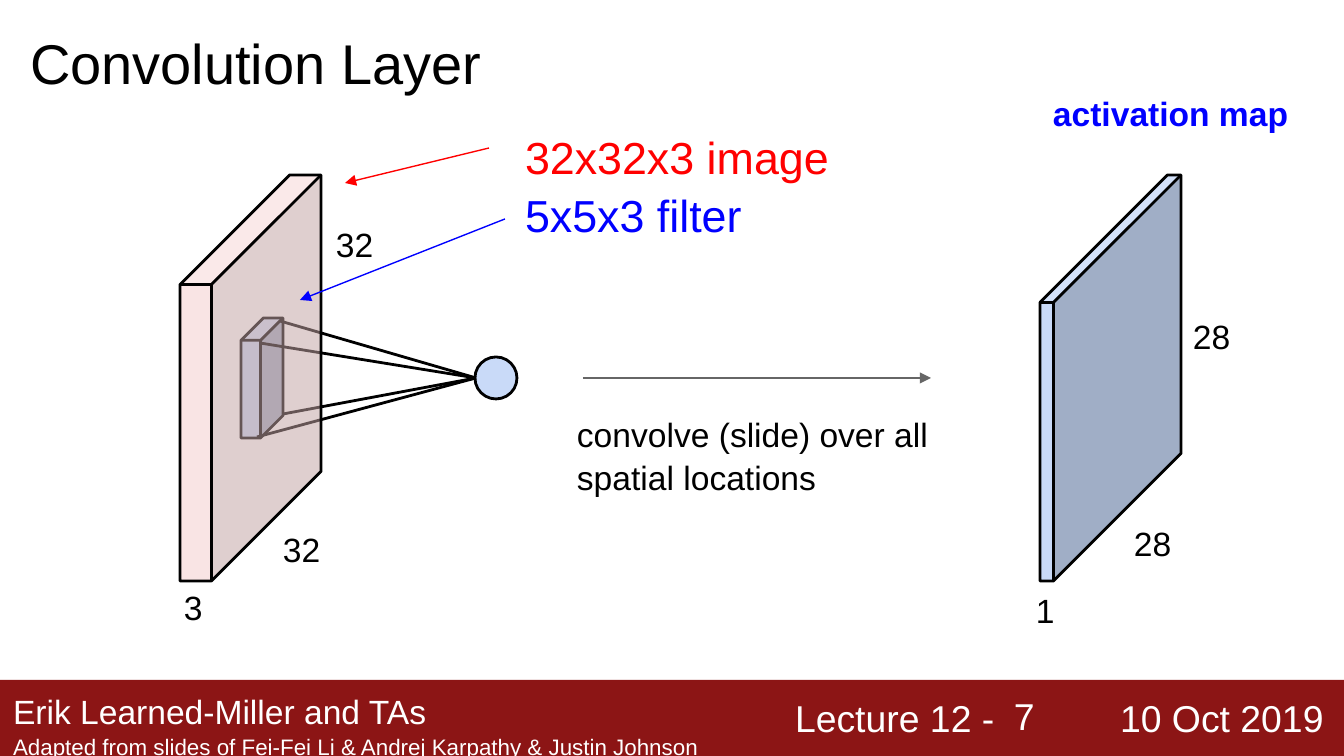
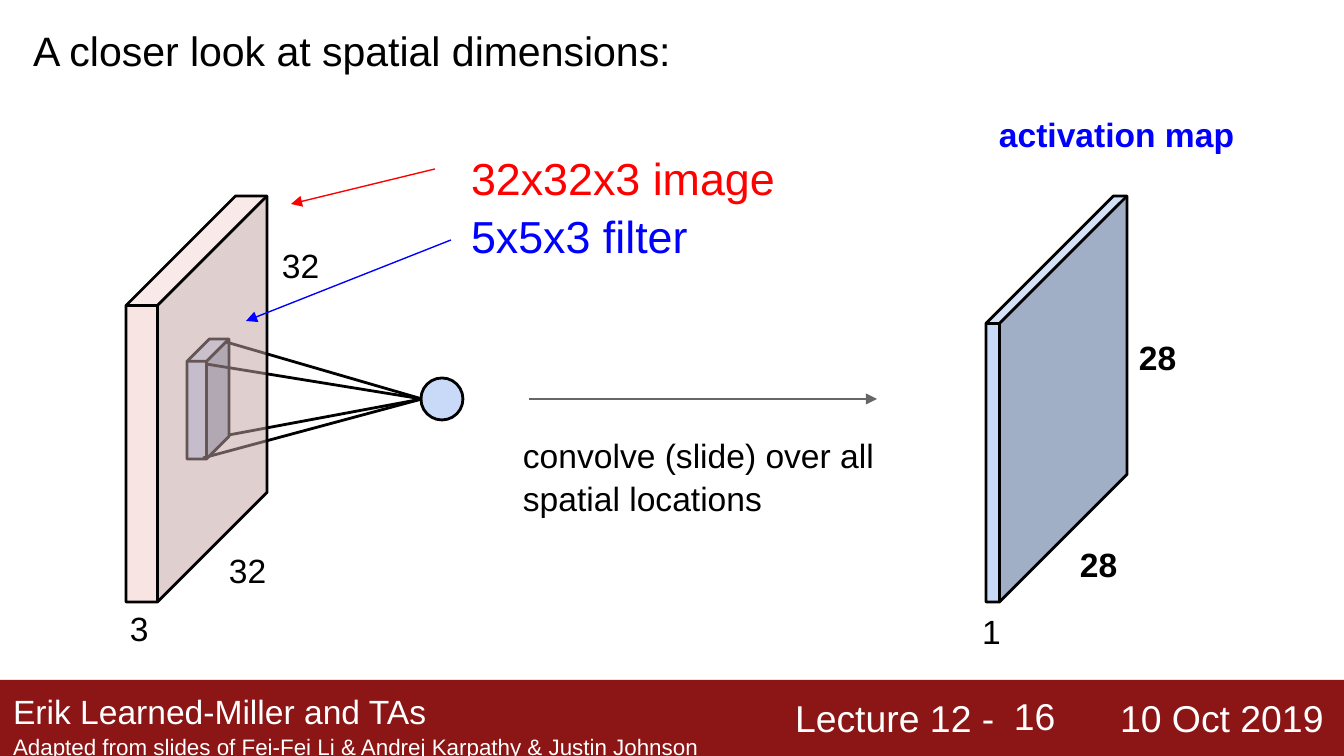
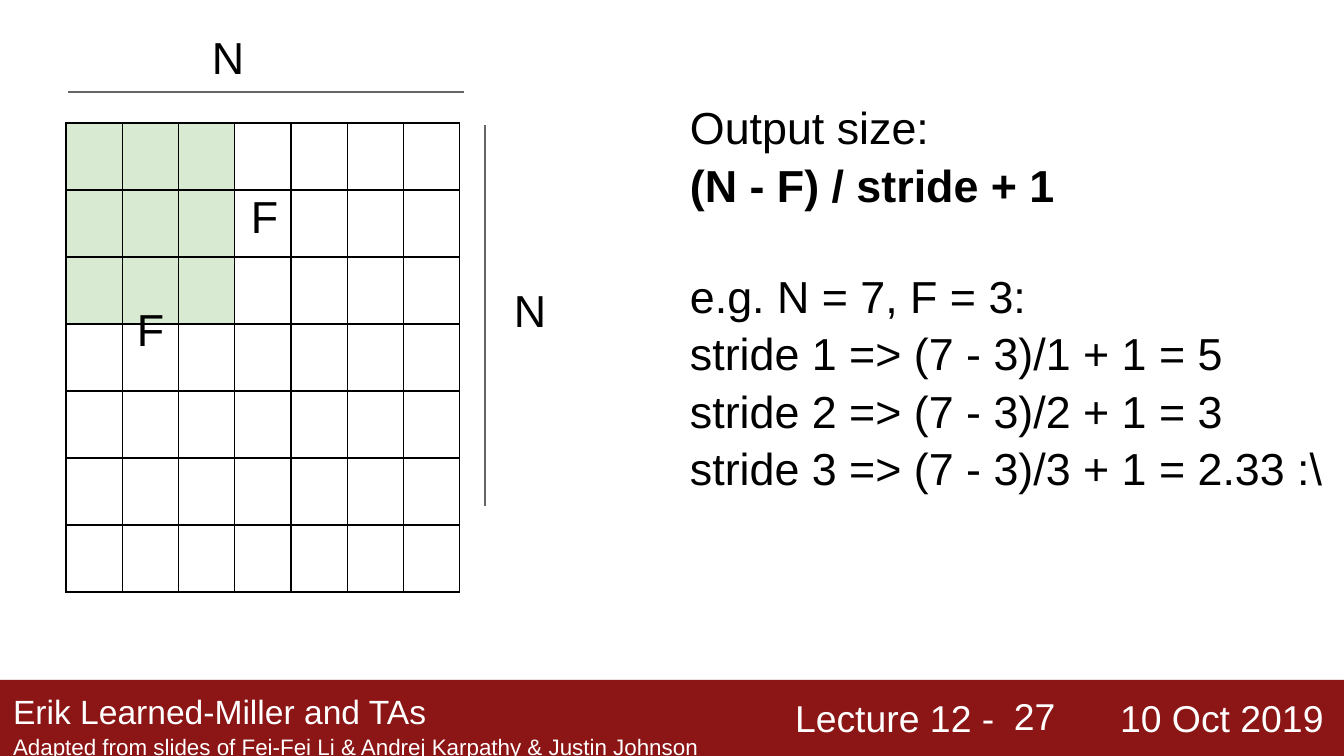
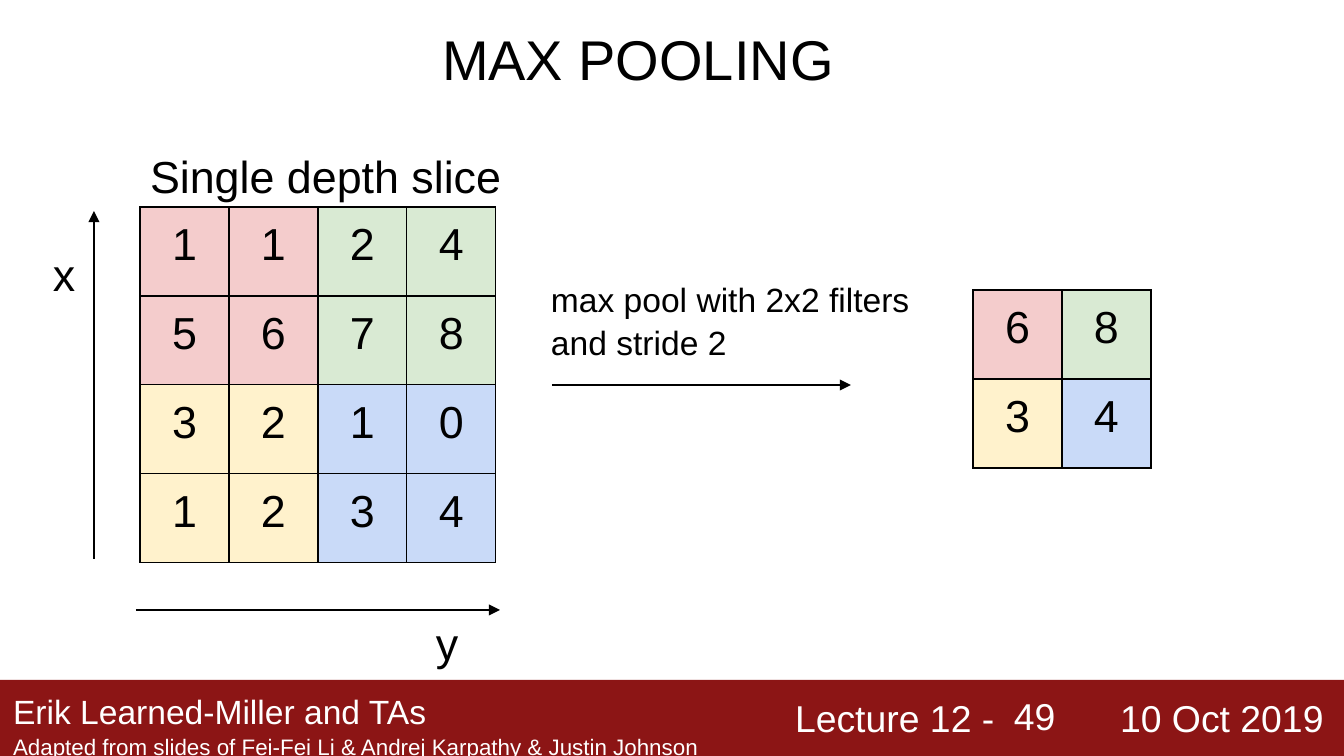
import pptx
import pptx.util
import pptx.dml.color
import pptx.enum.shapes
import pptx.enum.text
import pptx.oxml
import pptx.oxml.ns

RGB = pptx.dml.color.RGBColor
SHAPE = pptx.enum.shapes.MSO_SHAPE
ALIGN = pptx.enum.text.PP_ALIGN
ANCHOR = pptx.enum.text.MSO_ANCHOR
PX = 914400 / 134.4
FONT = "Arial"
INSET = 13
LEADING = 1.07
TITLE_ONLY, BLANK = 5, 6

BLACK = RGB(0x00, 0x00, 0x00)
WHITE = RGB(0xFF, 0xFF, 0xFF)
RED = RGB(0xFF, 0x00, 0x00)
BLUE = RGB(0x00, 0x00, 0xFF)
GRAY = RGB(0x66, 0x66, 0x66)
CARDINAL = RGB(0x8C, 0x15, 0x15)
PINK = RGB(0xF4, 0xCC, 0xCC)
GREEN = RGB(0xD9, 0xEA, 0xD3)
YELLOW = RGB(0xFF, 0xF2, 0xCC)
SKY = RGB(0xC9, 0xDA, 0xF8)

SMALL = {"size": 18, "color": BLACK}
LARGE = {"size": 24, "color": BLACK}
FOOT = {"size": 20, "color": WHITE}

BAND = (0, 680, 1344, 76)
NUMBER_BOX = (1001, 685, 113, 58)
FOOTER = [
    ((782, 679, 515, 79), [("Lecture 12 -", FOOT)]),
    ((1107, 679, 515, 79), [("10 Oct 2019", FOOT)]),
    ((0, 675, 771, 79), [
        ("Erik Learned-Miller and TAs", {**FOOT, "size": 18}),
        ("Adapted from slides of Fei-Fei Li & Andrej Karpathy & Justin Johnson",
         {**FOOT, "size": 12}),
    ]),
]

FILTER_CUBE = ((241, 318, 42, 120), 0.534, SKY, 100)
IMAGE_CUBE = ((180, 175, 141, 406), 0.777, PINK, 52)
MAP_CUBE = ((1040, 175, 141, 406), 0.904, SKY, 100)
NEURON = (475, 357, 42, 42)
RAY_END = (476, 378)
RAY_STARTS = [(257, 437), (260, 343), (280, 321), (283, 414)]
CONV_ARROWS = [
    ((489, 148), (345, 183), RED),
    ((505, 219), (300, 300), BLUE),
    ((583, 378), (931, 378), GRAY),
]
CONV_LABELS = [
    ((270, 513, 73, 46), [("32", SMALL)]),
    ((323, 208, 73, 42), [("32", SMALL)]),
    ((171, 571, 73, 27), [("3", SMALL)]),
    ((512, 113, 535, 81), [("32x32x3 image", {**LARGE, "color": RED}),
                           ("5x5x3 filter", {**LARGE, "color": BLUE})]),
    ((564, 398, 481, 120), [("convolve (slide) over all spatial locations", SMALL)]),
    ((1040, 77, 265, 79), [("activation map", {**SMALL, "color": BLUE, "bold": True})]),
    ((1023, 574, 48, 46), [("1", SMALL)]),
]
MAP_SIZE_BOXES = [(1121, 507, 73, 46), (1180, 300, 73, 46)]

STRIDE_GRID = (66, 123, 394, 451)
STRIDE_CELLS = [[("", GREEN if row < 3 and col < 3 else None) for col in range(7)]
                for row in range(7)]
STRIDE_LINES = [((68, 92), (464, 92)), ((485, 125), (485, 506))]
STRIDE_LABELS = [("N", 199, 13), ("N", 501, 266), ("F", 124, 285), ("F", 238, 172)]
FORMULA_BOX = (677, 83, 667, 355)
FORMULA = [
    ("Output size:", LARGE),
    ("(N - F) / stride + 1", {**LARGE, "bold": True}),
    ("e.g. N = 7, F = 3:", {**LARGE, "before": 28.7}),
    ("stride 1 => (7 - 3)/1 + 1 = 5", LARGE),
    ("stride 2 => (7 - 3)/2 + 1 = 3", LARGE),
    ("stride 3 => (7 - 3)/3 + 1 = 2.33 :\\", LARGE),
]

QUADRANTS = [[PINK, GREEN], [YELLOW, SKY]]
POOL_CELL = 89
POOL_TABLES = [
    ((140, 207), [[1, 1, 2, 4], [5, 6, 7, 8], [3, 2, 1, 0], [1, 2, 3, 4]]),
    ((973, 290), [[6, 8], [3, 4]]),
]
POOL_ARROWS = [((94, 559), (94, 211)), ((136, 610), (500, 610)), ((552, 385), (851, 385))]
POOL_LABELS = [
    ((137, 132, 384, 83), [("Single depth slice", LARGE)]),
    ((40, 230, 58, 69), [("x", LARGE)]),
    ((423, 599, 58, 54), [("y", LARGE)]),
    ((538, 263, 394, 108), [("max pool with 2x2 filters and stride 2", SMALL)]),
]


def emu(*lengths):
    return [round(n * PX) for n in lengths]


def set_all(obj, values):
    for name, value in values.items():
        setattr(obj, name, value)


def sub(parent, tag, **attrs):
    el = pptx.oxml.parse_xml(f"<a:{tag} {pptx.oxml.ns.nsdecls('a')}/>")
    for name, value in attrs.items():
        el.set(name, str(value))
    parent.append(el)
    return el


def style_font(font, fmt):
    set_all(font, {"name": FONT, "size": pptx.util.Pt(fmt["size"]),
                   "bold": fmt.get("bold", False)})
    font.color.rgb = fmt["color"]


def write(tf, lines, anchor=ANCHOR.TOP):
    inset = emu(INSET)[0]
    set_all(tf, {"word_wrap": True, "auto_size": pptx.enum.text.MSO_AUTO_SIZE.NONE,
                 "vertical_anchor": anchor, "margin_left": inset, "margin_right": inset,
                 "margin_top": inset, "margin_bottom": inset})
    for i, (text, fmt) in enumerate(lines):
        p = tf.add_paragraph() if i else tf.paragraphs[0]
        set_all(p, {"alignment": ALIGN.LEFT, "line_spacing": LEADING,
                    "space_before": pptx.util.Pt(fmt.get("before", 0))})
        r = p.add_run()
        r.text = text
        style_font(r.font, fmt)


def add_text(s, box, lines, anchor=ANCHOR.TOP):
    sp = s.shapes.add_textbox(*emu(*box))
    write(sp.text_frame, lines, anchor)
    return sp


def add_solid(s, kind, box, color, line=BLACK, alpha=100):
    sp = s.shapes.add_shape(kind, *emu(*box))
    sp.shadow.inherit = False
    sp.fill.solid()
    sp.fill.fore_color.rgb = color
    if alpha < 100:
        clr = sp.element.spPr.find(".//" + pptx.oxml.ns.qn("a:srgbClr"))
        sub(clr, "alpha", val=alpha * 1000)
    if line is None:
        sp.line.fill.background()
    else:
        sp.line.color.rgb = line
        sp.line.width = pptx.util.Pt(1.5)
    return sp


def add_cube(s, box, depth, color, alpha):
    add_solid(s, SHAPE.CUBE, box, color, alpha=alpha).adjustments[0] = depth


def add_line(s, start, end, color=BLACK, width=1.5, arrow=False):
    cx = s.shapes.add_connector(pptx.enum.shapes.MSO_CONNECTOR.STRAIGHT, *emu(*start, *end))
    cx.line.color.rgb = color
    cx.line.width = pptx.util.Pt(width)
    if arrow:
        sub(cx.line._get_or_add_ln(), "tailEnd", type="triangle")
    sub(cx.element.spPr, "effectLst")


def add_border(cell):
    tc_pr = cell._tc.get_or_add_tcPr()
    for i, side in enumerate(("lnL", "lnR", "lnT", "lnB")):
        ln = sub(tc_pr, side, w=9525)
        sub(sub(ln, "solidFill"), "srgbClr", val=str(BLACK))
        tc_pr.insert(i, ln)


def add_grid(s, box, cells):
    rows, cols = len(cells), len(cells[0])
    table = s.shapes.add_table(rows, cols, *emu(*box)).table
    set_all(table, {"first_row": False, "horz_banding": False})
    for col in table.columns:
        col.width = emu(box[2] / cols)[0]
    for row in table.rows:
        row.height = emu(box[3] / rows)[0]
    inset = emu(INSET)[0]
    for i, values in enumerate(cells):
        for j, (text, color) in enumerate(values):
            cell = table.cell(i, j)
            set_all(cell, {"margin_left": inset, "margin_right": inset,
                           "margin_top": inset, "margin_bottom": inset})
            if color is None:
                cell.fill.background()
            else:
                cell.fill.solid()
                cell.fill.fore_color.rgb = color
            add_border(cell)
            if text:
                p = cell.text_frame.paragraphs[0]
                p.alignment = ALIGN.CENTER
                r = p.add_run()
                r.text = text
                style_font(r.font, LARGE)


def add_slide(prs, number, title=None, size=30, box=None):
    s = prs.slides.add_slide(prs.slide_layouts[TITLE_ONLY if title else BLANK])
    if title:
        sp = s.shapes.title
        set_all(sp, dict(zip(("left", "top", "width", "height"), emu(*box))))
        write(sp.text_frame, [(title, {"size": size, "color": BLACK})])
    add_text(s, NUMBER_BOX, [(str(number), FOOT)], ANCHOR.MIDDLE)
    return s


def move_footer_to_master(prs, s):
    parts = [add_solid(s, SHAPE.RECTANGLE, BAND, CARDINAL, line=None)]
    parts += [add_text(s, box, lines) for box, lines in FOOTER]
    for sp in parts:
        prs.slide_master.element.cSld.spTree.append(sp.element)


def draw_convolution(s, dx=0, dy=0, bold_size=False):
    def at(place):
        return (place[0] + dx, place[1] + dy, *place[2:])

    def cube(box, *look):
        add_cube(s, at(box), *look)

    cube(*FILTER_CUBE)
    add_solid(s, SHAPE.OVAL, at(NEURON), SKY)
    for start in RAY_STARTS:
        add_line(s, at(start), at(RAY_END))
    cube(*IMAGE_CUBE)
    cube(*MAP_CUBE)
    for start, end, color in CONV_ARROWS:
        add_line(s, at(start), at(end), color, 0.75, arrow=True)
    sizes = [(box, [("28", {**SMALL, "bold": bold_size})]) for box in MAP_SIZE_BOXES]
    for box, lines in CONV_LABELS + sizes:
        add_text(s, at(box), lines)


def draw_stride(s):
    add_grid(s, STRIDE_GRID, STRIDE_CELLS)
    for start, end in STRIDE_LINES:
        add_line(s, start, end, GRAY)
    for text, x, y in STRIDE_LABELS:
        add_text(s, (x, y, 114, 58), [(text, LARGE)])
    add_text(s, FORMULA_BOX, FORMULA)


def draw_pooling(s):
    for (x, y), values in POOL_TABLES:
        n = len(values)
        cells = [[(str(v), QUADRANTS[2 * i // n][2 * j // n]) for j, v in enumerate(row)]
                 for i, row in enumerate(values)]
        add_grid(s, (x, y, n * POOL_CELL, n * POOL_CELL), cells)
    for start, end in POOL_ARROWS:
        add_line(s, start, end, arrow=True)
    for box, lines in POOL_LABELS:
        add_text(s, box, lines)


def main():
    prs = pptx.Presentation()
    prs.slide_width, prs.slide_height = emu(1344, 756)
    s = add_slide(prs, 7, "Convolution Layer", 30, (17, 11, 1132, 93))
    move_footer_to_master(prs, s)
    draw_convolution(s)
    s = add_slide(prs, 16, "A closer look at spatial dimensions:", 22, (20, 9, 1231, 89))
    draw_convolution(s, -54, 21, bold_size=True)
    draw_stride(add_slide(prs, 27))
    draw_pooling(add_slide(prs, 49, "MAX POOLING", 30, (429, 7, 628, 97)))
    prs.save("out.pptx")


if __name__ == "__main__":
    main()
